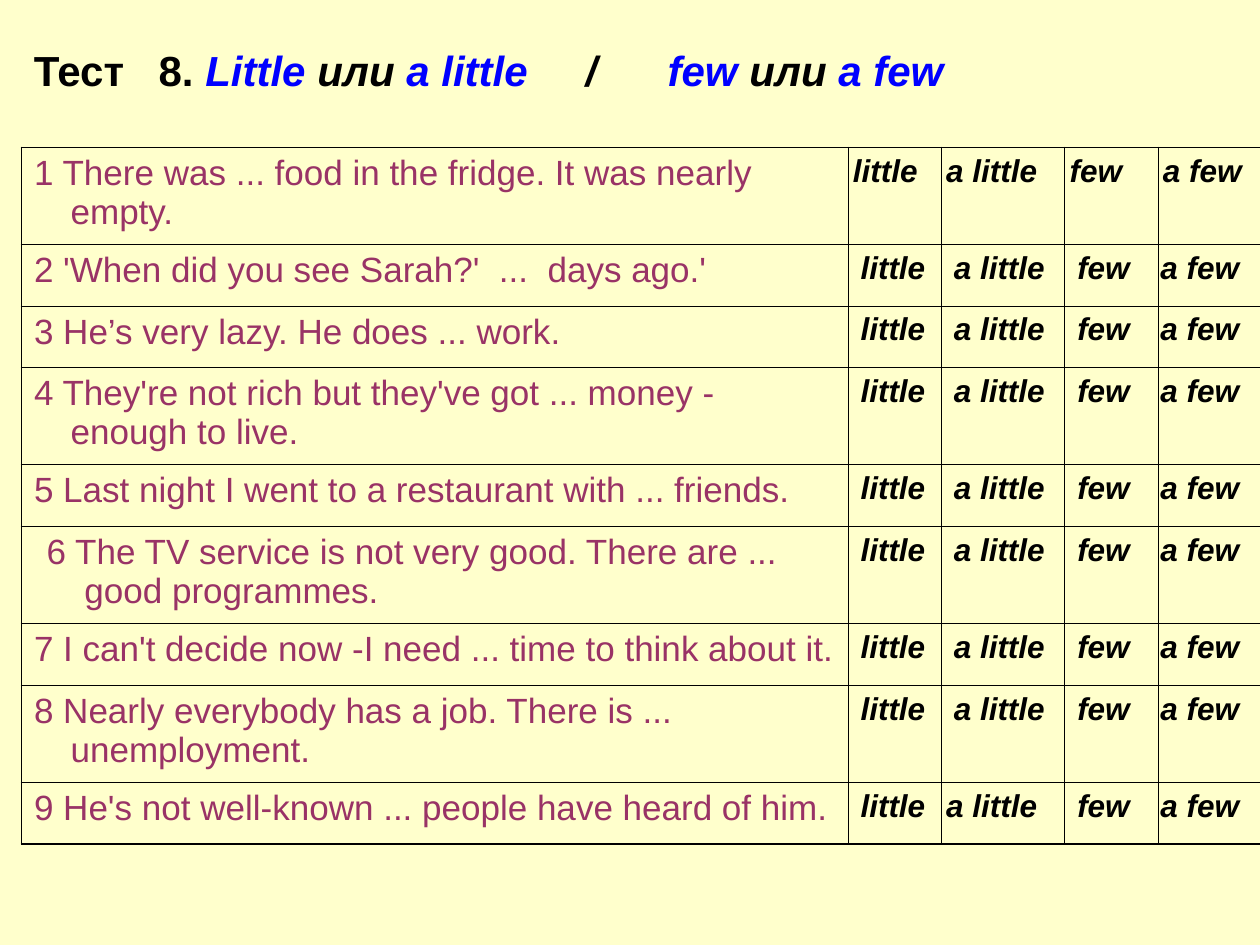
from dataclasses import dataclass
from typing import Any

from lxml import etree
from pptx import Presentation
from pptx.dml.color import RGBColor
from pptx.enum.text import MSO_ANCHOR
from pptx.oxml.ns import qn
from pptx.util import Inches, Pt

TOP, BOTTOM = MSO_ANCHOR.TOP, MSO_ANCHOR.BOTTOM
WIDE, HIGH = Inches(10), Inches(7.5)


@dataclass(frozen=True)
class Theme:
    face: str = "Arial"
    paper: str = "FFFFCC"
    ink: str = "000000"
    key: str = "0000FF"
    task: str = "993366"
    head_size: float = 24
    task_size: float = 20
    word_size: float = 18
    thin: float = 0.45
    thick: float = 1.08


@dataclass(frozen=True)
class Task:
    text: str
    left: float = 0
    hang: float = 0
    pads: tuple[float, ...] = (1, 1, 1, 0.2)

    @property
    def high(self) -> float:
        return TALL if self.hang else SHORT


THEME = Theme()

# Lengths are percent of the slide: x and pads of its width, y of its height.
SHORT, TALL = 6.53, 10.27
COLS = (65.6, 7.4, 9.8, 7.4, 8.2)
EDGE = 1.7
TABLE_TOP = 15.6
HEAD_BOX = (EDGE, 2.27, 79.2, 7.73)
HEAD_TABS = (9.9, 43.8, 50.3)
PAD, PAD_TOP = 1, 0.67

HEAD = (
    ("Тест\t8. ", THEME.ink, False),
    ("Little ", THEME.key, True),
    ("или ", THEME.ink, True),
    ("a little", THEME.key, True),
    ("\t/\t", THEME.ink, True),
    ("few ", THEME.key, True),
    ("или ", THEME.ink, True),
    ("a few", THEME.key, True),
)
WORDS = ("little", "a little", "few", "a few")
TASKS = (
    Task("1 There was ... food in the fridge. It was nearly empty.",
         2.9, 2.9, (0.4, 0.4, 0.4, 0.4)),
    Task("2 'When did you see Sarah?'  ...  days ago.'"),
    Task("3 He’s very lazy. He does ... work."),
    Task("4 They're not rich but they've got ... money - enough to live.",
         2.9, 2.9),
    Task("5 Last night I went to a restaurant with ... friends."),
    Task("6 The TV service is not very good. There are ... good programmes.",
         4, 3),
    Task("7 I can't decide now -I need ... time to think about it."),
    Task("8 Nearly everybody has a job. There is ... unemployment.", 2.9, 2.9),
    Task("9 He's not well-known ... people have heard of him.",
         pads=(1, 0.4, 1, 0.2)),
)


def across(share: float) -> int:
    return round(WIDE * share / 100)


def down(share: float) -> int:
    return round(HIGH * share / 100)


def put(item: Any, **vals: Any) -> None:
    for name, val in vals.items():
        setattr(item, name, val)


def add_run(para: Any, text: str, tone: str, size: float,
            bold: bool, slant: bool) -> None:
    run = para.add_run()
    run.text = text
    put(run.font, name=THEME.face, size=Pt(size), bold=bold, italic=slant)
    run.font.color.rgb = RGBColor.from_string(tone)


def add_head(slide: Any) -> None:
    left, top, wide, high = HEAD_BOX
    box = slide.shapes.add_textbox(
        across(left), down(top), across(wide), down(high))
    put(box.text_frame, word_wrap=True, vertical_anchor=BOTTOM,
        margin_left=across(PAD), margin_right=across(PAD), margin_bottom=0)
    para = box.text_frame.paragraphs[0]
    tabs = etree.SubElement(para._p.get_or_add_pPr(), qn("a:tabLst"))
    for stop in HEAD_TABS:
        etree.SubElement(tabs, qn("a:tab"), pos=str(across(stop)), algn="l")
    for text, tone, slant in HEAD:
        add_run(para, text, tone, THEME.head_size, True, slant)


def add_rules(cell: Any, row: int, col: int) -> None:
    """Rule a cell, with thick lines along the rim of the table."""
    rim = {"L": col == 0, "R": col == len(COLS) - 1,
           "T": row == 0, "B": row == len(TASKS) - 1}
    props = cell._tc.get_or_add_tcPr()
    for side, outer in rim.items():
        width = Pt(THEME.thick if outer else THEME.thin)
        line = etree.SubElement(props, qn(f"a:ln{side}"), w=str(width))
        fill = etree.SubElement(line, qn("a:solidFill"))
        etree.SubElement(fill, qn("a:srgbClr"), val=THEME.ink)


def fill_cell(cell: Any, row: int, col: int) -> None:
    task = TASKS[row]
    pad = across(task.pads[col - 1] if col else PAD)
    add_rules(cell, row, col)
    cell.fill.background()
    put(cell, vertical_anchor=TOP, margin_left=pad, margin_right=pad,
        margin_top=down(PAD_TOP), margin_bottom=down(PAD_TOP))
    para = cell.text_frame.paragraphs[0]
    if col:
        add_run(para, WORDS[col - 1], THEME.ink, THEME.word_size, True, True)
        return
    if task.hang:
        props = para._p.get_or_add_pPr()
        props.set("marL", str(across(task.left)))
        props.set("indent", str(-across(task.hang)))
    add_run(para, task.text, THEME.task, THEME.task_size, False, False)


def add_test(slide: Any) -> None:
    frame = slide.shapes.add_table(
        len(TASKS), len(COLS), across(EDGE), down(TABLE_TOP),
        across(sum(COLS)), down(sum(task.high for task in TASKS)))
    table = frame.table
    put(table, first_row=False, horz_banding=False)
    for col, share in zip(table.columns, COLS):
        col.width = across(share)
    for row, task in enumerate(TASKS):
        table.rows[row].height = down(task.high)
        for col in range(len(COLS)):
            fill_cell(table.cell(row, col), row, col)


def main() -> None:
    deck = Presentation()
    put(deck, slide_width=WIDE, slide_height=HIGH)
    slide = deck.slides.add_slide(deck.slide_layouts[6])
    back = slide.background.fill
    back.solid()
    back.fore_color.rgb = RGBColor.from_string(THEME.paper)
    add_head(slide)
    add_test(slide)
    deck.save("out.pptx")


if __name__ == "__main__":
    main()
